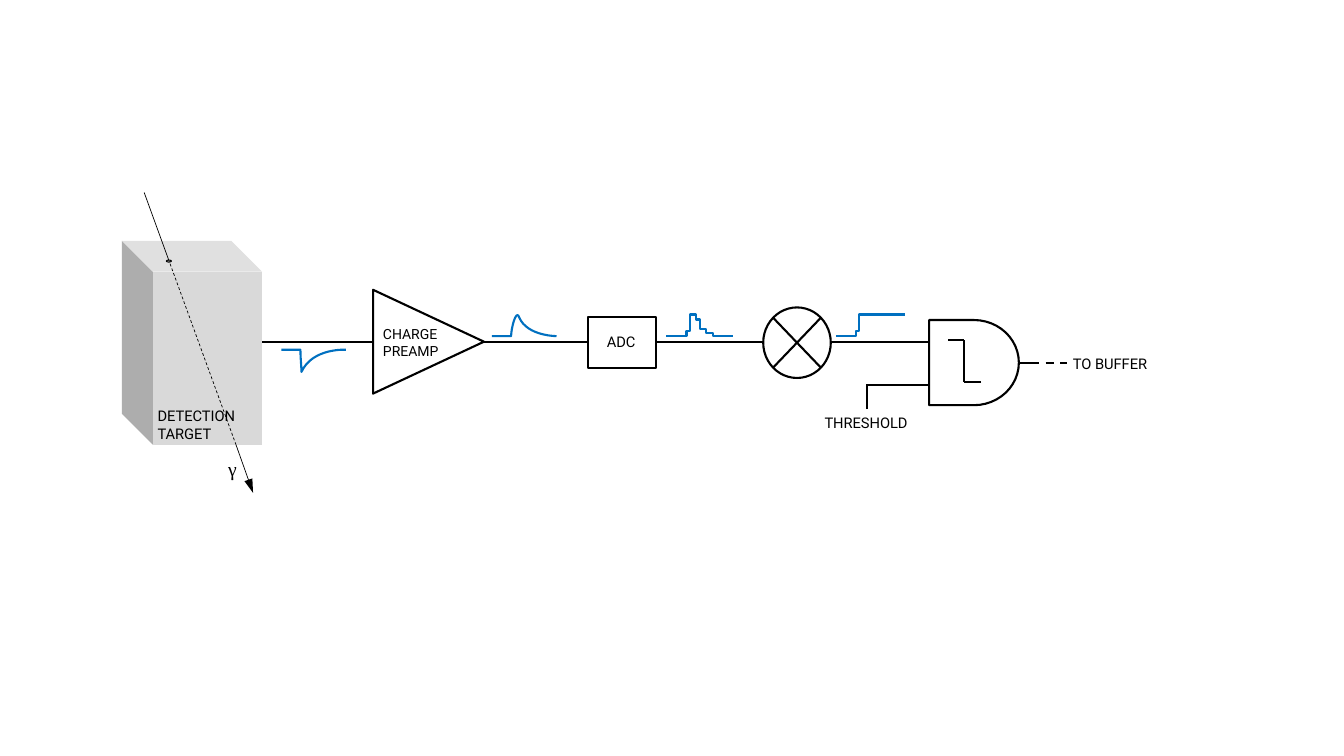
from lxml import etree
from pptx import Presentation
from pptx import util as u
from pptx.dml import color
from pptx.enum import dml, shapes, text
from pptx.oxml import ns

INK = {"black": "000000", "white": "FFFFFF", "gray": "D9D9D9", "blue": "0070C0"}
FORM = shapes.MSO_SHAPE
LEFT, MID = text.PP_ALIGN.LEFT, text.PP_ALIGN.CENTER


class Board:
    COLS, ROWS = 133.3, 75
    FONT, SIZE, LINE = "Roboto", 10.5, 1.5

    def __init__(self):
        self.deck = Presentation()
        self.deck.slide_width = u.Inches(13.33)
        self.deck.slide_height = u.Inches(7.5)
        self.slide = self.deck.slides.add_slide(self.deck.slide_layouts[6])

    def col(self, n):
        return round(self.deck.slide_width * n / self.COLS)

    def row(self, n):
        return round(self.deck.slide_height * n / self.ROWS)

    def area(self, x, y, w, h):
        return self.col(x), self.row(y), self.col(w), self.row(h)

    def tint(self, name):
        return color.RGBColor.from_string(INK[name])

    def pen(self, line, ink="black", width=LINE):
        line.color.rgb = self.tint(ink)
        line.width = u.Pt(width)

    def wire(self, start, end, width=LINE, dash=False, arrow=False):
        item = self.slide.shapes.add_connector(
            shapes.MSO_CONNECTOR.STRAIGHT,
            self.col(start[0]), self.row(start[1]),
            self.col(end[0]), self.row(end[1]))
        self.pen(item.line, width=width)
        if dash:
            item.line.dash_style = dml.MSO_LINE.DASH
        props = item._element.spPr
        if arrow:
            tip = etree.SubElement(props.find(ns.qn("a:ln")), ns.qn("a:tailEnd"))
            tip.set("type", "triangle")
            tip.set("len", "lg")
        etree.SubElement(props, ns.qn("a:effectLst"))

    def chain(self, *dots):
        for start, end in zip(dots, dots[1:]):
            self.wire(start, end)

    def block(self, form, box, fill="white", width=LINE, turn=0):
        item = self.slide.shapes.add_shape(form, *self.area(*box))
        item.shadow.inherit = False
        item.rotation = turn
        if fill:
            item.fill.solid()
            item.fill.fore_color.rgb = self.tint(fill)
        else:
            item.fill.background()
        if width is None:
            item.line.fill.background()
        else:
            self.pen(item.line, width=width)
        return item

    def cube(self, box, depth):
        item = self.block(FORM.CUBE, box, "gray", None)
        item.adjustments[0] = depth
        item._element.spPr.find(ns.qn("a:xfrm")).set("flipH", "1")

    def trace(self, dots):
        spots = [(self.col(x), self.row(y)) for x, y in dots]
        path = self.slide.shapes.build_freeform(*spots[0], scale=1.0)
        path.add_line_segments(spots[1:], close=False)
        item = path.convert_to_shape()
        item.shadow.inherit = False
        item.fill.background()
        self.pen(item.line, "blue")

    def label(self, box, *rows, size=SIZE, font=FONT, align=MID):
        frame = self.slide.shapes.add_textbox(*self.area(*box)).text_frame
        frame.word_wrap = False
        frame.auto_size = text.MSO_AUTO_SIZE.SHAPE_TO_FIT_TEXT
        for n, words in enumerate(rows):
            para = frame.add_paragraph() if n else frame.paragraphs[0]
            para.alignment = align
            run = para.add_run()
            run.text = words
            run.font.size = u.Pt(size)
            run.font.name = font
            run.font.color.rgb = self.tint("black")


def curve(*knots, steps=16):
    dots = []
    for n in range(1, steps + 1):
        t = n / steps
        parts = (1 - t) ** 3, 3 * t * (1 - t) ** 2, 3 * t * t * (1 - t), t ** 3
        dots.append(tuple(sum(p * k[axis] for p, k in zip(parts, knots))
                          for axis in (0, 1)))
    return dots


def stairs(x, y, *steps):
    dots = [(x, y)]
    for over, level in steps:
        x += over
        dots += [(x, y), (x, level)]
        y = level
    return dots


def main():
    board = Board()
    board.wire((85.95, 38.2), (92.5, 38.2))
    board.wire((25.9, 33.95), (97.3, 33.95))

    board.cube((12.1, 23.9, 13.9, 20.2), 0.22)
    top, entry, leave, end = (14.3, 19.1), (16.7, 25.7), (23.4, 44.1), (25.1, 48.9)
    board.wire(leave, end, 0.5, arrow=True)
    board.wire(top, entry, 0.5)
    board.wire(entry, leave, 0.5, dash=True)
    board.block(FORM.OVAL, (16.5, 25.8, 0.5, 0.2), None, 0)

    board.block(FORM.FLOWCHART_SUMMING_JUNCTION, (75.7, 30.5, 6.7, 7))
    board.block(FORM.FLOWCHART_DELAY, (92.15, 31.75, 8.9, 8.45))
    board.chain((97.3, 37.9), (95.6, 37.9), (95.6, 33.75), (94, 33.75))
    board.block(FORM.RECTANGLE, (58.35, 31.45, 6.75, 5.05))
    board.label((59.2, 32.55, 5, 2.9), "ADC", align=LEFT)
    board.block(FORM.ISOSCELES_TRIANGLE, (37.35, 28.4, 10.3, 11), turn=90)
    board.label((37, 31.85, 7.8, 4.4), "CHARGE", "PREAMP", size=10, align=LEFT)

    drop, dip = (29.8, 34.7), (29.9, 36.9)
    board.trace([(27.9, 34.7), drop]
                + curve(drop, (29.8, 35.5), (29.9, 36.3), dip)
                + curve(dip, (31, 34.5), (34.3, 34.7), (34.3, 34.7)))
    rise, peak = (50.7, 33.35), (51.5, 31.5)
    board.trace([(48.8, 33.35), rise]
                + curve(rise, (50.7, 32.6), (51.2, 30.6), peak)
                + curve(peak, (52.3, 33.35), (55.2, 33.35), (55.2, 33.35)))
    climb = (2, 32.8), (0.3, 31.2)
    board.trace(stairs(66.1, 33.35, *climb, (0.6, 31.7), (0.4, 32.6),
                       (0.6, 33), (0.7, 33.35), (2, 33.35)))
    board.trace(stairs(82.9, 33.35, *climb, (4.6, 31.2)))

    board.wire((85.95, 40.6), (85.95, 38.1))
    board.label((79.9, 40.6, 12, 2.8), "THRESHOLD")
    board.wire((101, 36), (103.1, 36))
    board.wire((103.7, 36), (105.8, 36), dash=True)
    board.label((104.6, 34.7, 11, 2.5), "TO BUFFER")
    board.label((21.6, 44.8, 2.9, 3.4), "γ", size=14, font="Times New Roman")
    board.label((14.65, 39.9, 10.4, 4.5), "DETECTION", "TARGET", align=LEFT)
    board.deck.save("out.pptx")


if __name__ == "__main__":
    main()
